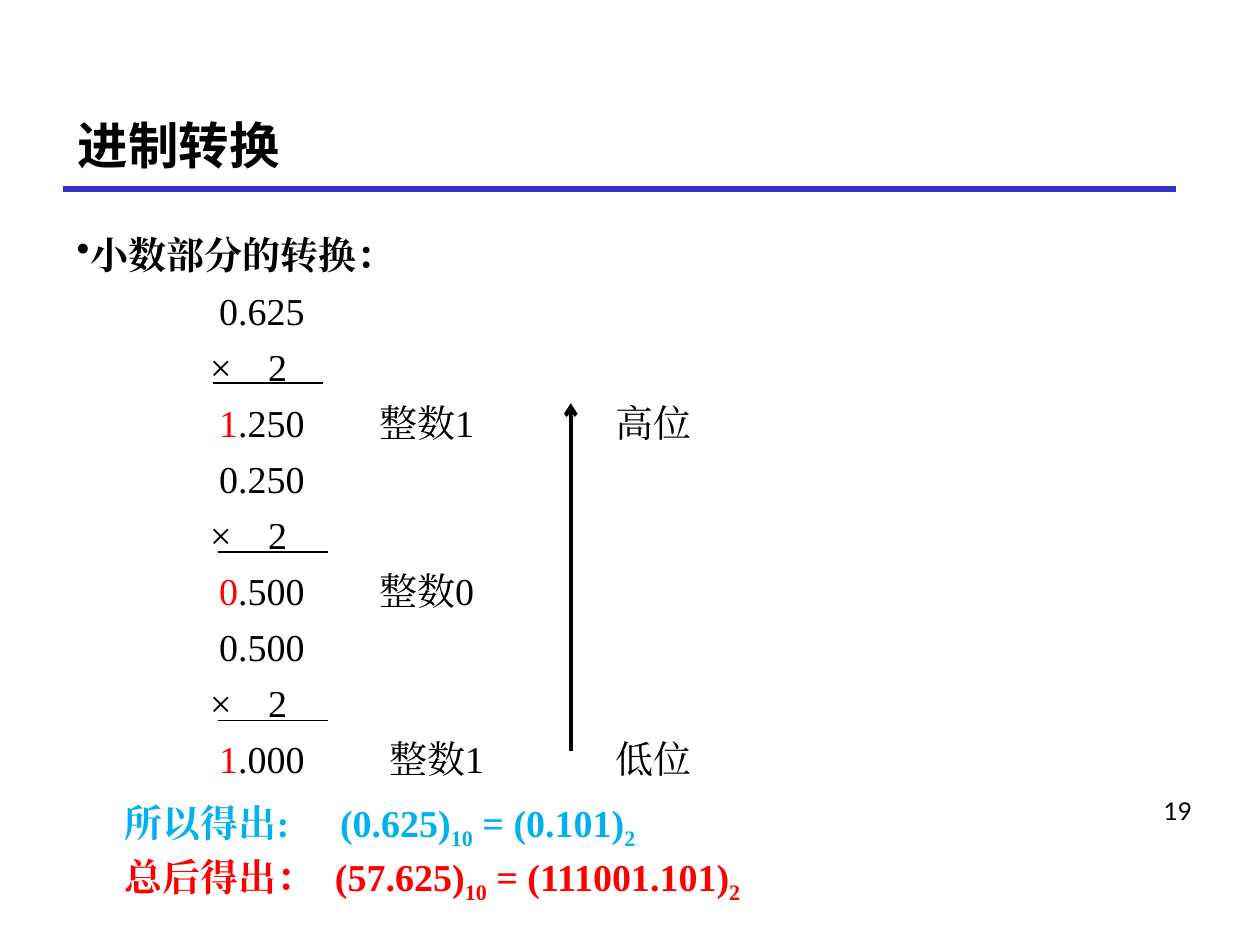
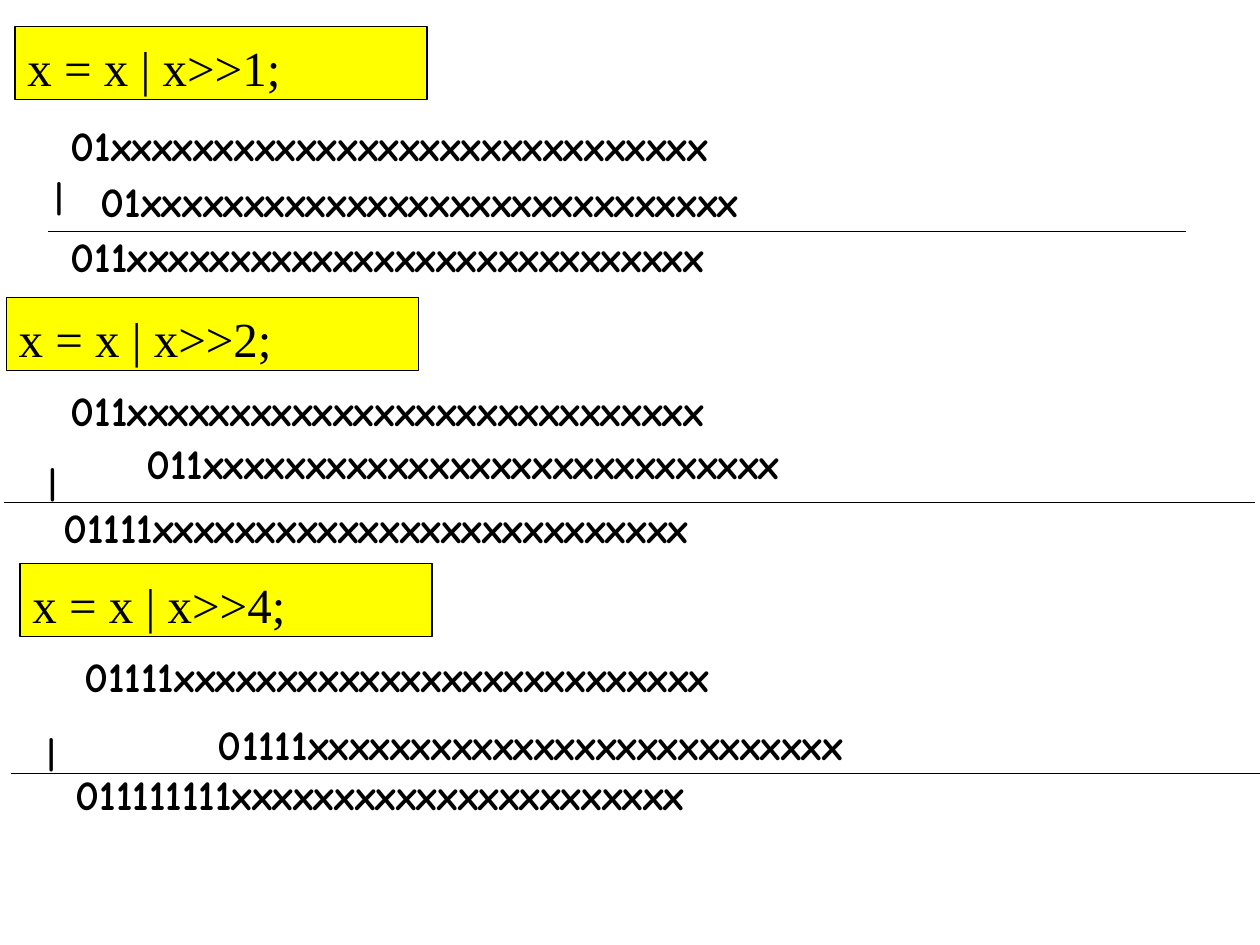
from lxml.etree import SubElement
from pptx import Presentation
from pptx.dml.color import RGBColor
from pptx.enum.shapes import MSO_CONNECTOR, MSO_SHAPE
from pptx.enum.text import MSO_ANCHOR, PP_ALIGN
from pptx.oxml.ns import qn
from pptx.util import Inches, Pt

COLORS = {"black": "000000", "rule": "3333CC", "red": "FF0000",
          "cyan": "00B0F0", "yellow": "FFFF00"}
SERIF, COMIC, SANS = "Times New Roman", "Comic Neue", "Lato"
BODY_SIZE = 21.7
WORD_LENGTH = 31


class Deck:
    """Hold the shared style and the current slide, and draw on it."""

    def __init__(self):
        self.prs = Presentation()
        self.prs.slide_width, self.prs.slide_height = Inches(10), Inches(7.5)
        self.s = None

    def add_slide(self):
        self.s = self.prs.slides.add_slide(self.prs.slide_layouts[6])

    def color(self, name):
        return RGBColor.from_string(COLORS[name])

    def style(self, r, font, size, color="black", bold=False):
        r.font.name, r.font.size, r.font.bold = font, Pt(size), bold
        r.font.color.rgb = self.color(color)
        SubElement(r.font._element, qn("a:ea")).set("typeface", font)

    def box(self, x, y, w, h, inset=None):
        tf = self.s.shapes.add_textbox(
            Inches(x), Inches(y), Inches(w), Inches(h)).text_frame
        tf.word_wrap = True
        if inset is not None:
            tf.margin_left = tf.margin_right = Inches(inset)
            tf.margin_top = tf.margin_bottom = Inches(inset)
        return tf

    def text(self, x, y, w, h, text, font, size, bold=False,
             align=PP_ALIGN.LEFT, inset=None):
        tf = self.box(x, y, w, h, inset)
        tf.text = text
        p = tf.paragraphs[0]
        p.alignment = align
        self.style(p.runs[0], font, size, bold=bold)
        return tf

    def title(self, text):
        tf = self.text(0.52, 0.67, 9.27, 0.71, text, COMIC, 28.8, bold=True)
        tf.vertical_anchor = MSO_ANCHOR.MIDDLE
        tf.paragraphs[0].line_spacing = 1.5
        self.line(0.5, 1.5, 9.33, 1.5, 3, "rule")

    def page_number(self, number):
        self.text(8.89, 6.27, 0.67, 0.57, str(number), SANS, 14,
                  align=PP_ALIGN.RIGHT)

    def line(self, x1, y1, x2, y2, width=0.75, color="black", arrow=False):
        sp = self.s.shapes.add_connector(
            MSO_CONNECTOR.STRAIGHT, Inches(x1), Inches(y1), Inches(x2), Inches(y2))
        sp.line.color.rgb = self.color(color)
        sp.line.width = Pt(width)
        if arrow:
            SubElement(sp.line._get_or_add_ln(), qn("a:tailEnd")).set("type", "arrow")
        SubElement(sp._element.spPr, qn("a:effectLst"))

    def code_box(self, x, y, code):
        sp = self.s.shapes.add_shape(
            MSO_SHAPE.RECTANGLE, Inches(x), Inches(y), Inches(3.27), Inches(0.58))
        sp.shadow.inherit = False
        sp.fill.solid()
        sp.fill.fore_color.rgb = self.color("yellow")
        sp.line.color.rgb = self.color("black")
        sp.line.width = Pt(0.75)
        tf = sp.text_frame
        tf.vertical_anchor = MSO_ANCHOR.TOP
        tf.margin_top = Inches(0.09)
        tf.text = code
        p = tf.paragraphs[0]
        p.alignment = PP_ALIGN.LEFT
        self.style(p.runs[0], SERIF, 28)

    def paragraph(self, p, runs, spacing, before=0, tabs=(), bullet=False, bold=False):
        pPr = p._p.get_or_add_pPr()
        if bullet:
            pPr.set("marL", str(Inches(0.1)))
            pPr.set("indent", str(-Inches(0.1)))
            SubElement(pPr, qn("a:buChar")).set("char", "•")
        if tabs:
            tab_list = SubElement(pPr, qn("a:tabLst"))
            for pos in tabs:
                tab = SubElement(tab_list, qn("a:tab"))
                tab.set("pos", str(Inches(pos)))
                tab.set("algn", "l")
        p.alignment = PP_ALIGN.LEFT
        p.line_spacing, p.space_before = spacing, Pt(before)
        for text, color, *baseline in runs:
            r = p.add_run()
            r.text = text
            self.style(r, SERIF, BODY_SIZE, color, bold)
            if baseline:
                r.font._element.set("baseline", str(baseline[0] * 1000))


def fraction_slide(deck):
    """Convert a decimal fraction to binary by repeated doubling."""
    deck.add_slide()
    deck.title("进制转换")
    tf = deck.box(0.51, 1.84, 8.82, 5.3)
    deck.paragraph(tf.paragraphs[0], [("小数部分的转换：", "black")], 0.85,
                   bullet=True, bold=True)

    steps = [("0.625", "1", ".250", "\t高位", 2.4),
             ("0.250", "0", ".500", "", 2.4),
             ("0.500", "1", ".000", "\t低位", 2.48)]
    for factor, digit, rest, place, note_tab in steps:
        rows = [([(f"\t{factor}", "black")], (1.13,)),
                ([("\t×\t2", "black")], (1.06, 1.52)),
                ([("\t", "black"), (digit, "red"),
                  (f"{rest}\t整数{digit}{place}", "black")], (1.13, note_tab, 4.28))]
        for runs, tabs in rows:
            deck.paragraph(tf.add_paragraph(), runs, Pt(32), tabs=tabs)

    results = [("所以得出:", "(0.625)", " = (0.101)", "cyan", 0.85, 12, 2.09),
               ("总后得出：", "(57.625)", " = (111001.101)", "red", 1.0, 4.3, 2.05)]
    for label, decimal, binary, color, spacing, before, tab in results:
        runs = [(f"\t{label}\t{decimal}", color), ("10", color, -25),
                (binary, color), ("2", color, -25)]
        deck.paragraph(tf.add_paragraph(), runs, spacing, before, (0.38, tab), bold=True)

    deck.page_number(19)
    deck.line(4.53, 5.96, 4.53, 3.2, 2.25, arrow=True)
    for i, x in enumerate((1.69, 1.73, 1.73)):
        y = 3.04 + 1.34 * i
        deck.line(x, y, x + 0.87, y)


def shift_slide(deck):
    """Show how each shift and OR doubles the run of leading ones."""
    deck.add_slide()
    groups = [
        (1, (0.12, 0.21), [(0.51, 0.9), (0.75, 1.34), (0.51, 1.78)],
         (0.38, 9.41, 1.84), (0.32, 1.34)),
        (2, (0.05, 2.36), [(0.51, 3), (1.11, 3.42), (0.45, 3.93)],
         (0.03, 9.96, 3.99), (0.27, 3.61)),
        (4, (0.16, 4.47), [(0.62, 5.11), (1.68, 5.65), (0.55, 6.05)],
         (0.09, 10.02, 6.14), (0.26, 5.76)),
    ]
    for shift, code_at, words_at, (left, right, rule_y), bar_at in groups:
        deck.code_box(*code_at, f"x = x | x>>{shift};")
        deck.line(right, rule_y, left, rule_y)
        for (x, y), ones in zip(words_at, (shift, shift, 2 * shift)):
            word = ("0" + "1" * ones).ljust(WORD_LENGTH, "x")
            deck.text(x, y, 8.38, 0.51, word, COMIC, 24, bold=True, inset=0.05)
        tf = deck.text(*bar_at, 0.23, 0.44, "|", COMIC, 20, bold=True,
                       align=PP_ALIGN.RIGHT, inset=0.05)
        tf.word_wrap = False


def main():
    """Build both slides and save them."""
    deck = Deck()
    fraction_slide(deck)
    shift_slide(deck)
    deck.prs.save("out.pptx")


if __name__ == "__main__":
    main()
